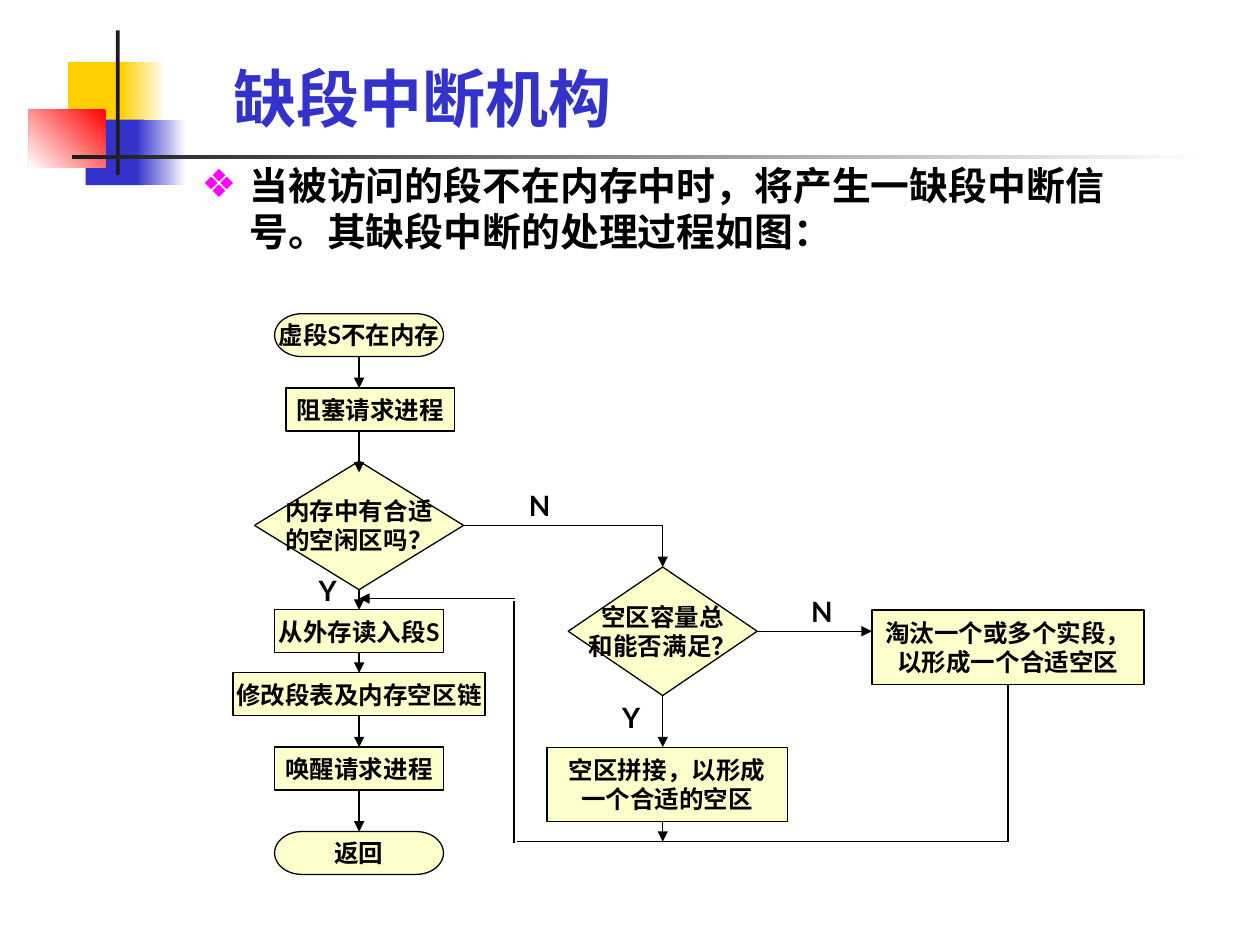
from lxml.etree import SubElement
from pptx import Presentation
from pptx.dml.color import RGBColor
from pptx.enum.shapes import MSO_CONNECTOR as Connector, MSO_SHAPE as Shape
from pptx.enum.text import MSO_ANCHOR as Anchor, MSO_AUTO_SIZE as AutoSize, PP_ALIGN as Align
from pptx.oxml.ns import qn
from pptx.util import Emu, Pt

SCALE = 9144
TOP, LEFT, BOTTOM, RIGHT = range(4)
hex_color = RGBColor.from_string


def px(*lengths):
    return [Emu(length * SCALE) for length in lengths]


def style(paragraph, size, color="000000", name="Lato", align=Align.LEFT):
    paragraph.alignment = align
    font = paragraph.font
    font.size, font.bold, font.name = Pt(size), True, name
    font.color.rgb = hex_color(color)
    defaults = paragraph._p.pPr.find(qn("a:defRPr"))
    SubElement(defaults, qn("a:ea"), typeface=name)


presentation = Presentation()
presentation.slide_width, presentation.slide_height = px(1000, 750)
slide = presentation.slides.add_slide(presentation.slide_layouts[1])
shapes = slide.shapes

decorations = [
    (54, 49, 48, 52, ["FFCF01"], 0),
    (96, 49, 36, 52, ["FFFFFF", "FFCF01"], 180),
    (68, 95, 46, 52, ["3333CC"], 0),
    (108, 95, 40, 52, ["FFFFFF", "3333CC"], 180),
    (23, 87, 61, 46, ["FF0000", "FFFFFF"], 225),
    (92, 24, 3, 115, ["1C1C1C"], 0),
    (57, 123, 900, 3, ["FFFFFF", "1C1C1C"], 180),
]
for left, top, width, height, colors, angle in decorations:
    block = shapes.add_shape(Shape.RECTANGLE, *px(left, top, width, height))
    block.shadow.inherit = False
    block.line.fill.background()
    if len(colors) == 1:
        block.fill.solid()
        block.fill.fore_color.rgb = hex_color(colors[0])
    else:
        block.fill.gradient()
        block.fill.gradient_angle = angle
        for stop, color in zip(block.fill.gradient_stops, colors):
            stop.color.rgb = hex_color(color)

title = shapes.title
title.left, title.top, title.width, title.height = px(175, 36, 553, 76)
title.text_frame.text = "缺段中断机构"
title.text_frame.vertical_anchor = Anchor.BOTTOM
title.text_frame.auto_size = AutoSize.NONE
style(title.text_frame.paragraphs[0], 36, "3333CC", "Noto Sans CJK SC")

body = slide.placeholders[1]
body.left, body.top, body.width, body.height = px(150, 123, 760, 86)
body.text_frame.text = "当被访问的段不在内存中时，将产生一缺段中断信号。其缺段中断的处理过程如图："
body.text_frame.auto_size = AutoSize.NONE
paragraph = body.text_frame.paragraphs[0]
properties = paragraph._p.get_or_add_pPr()
indent = px(38)[0]
properties.set("marL", str(indent))
properties.set("indent", str(-indent))
SubElement(SubElement(properties, qn("a:buClr")), qn("a:srgbClr"), val="FF00FF")
SubElement(properties, qn("a:buChar"), char="❖")
paragraph.line_spacing = 1.0
paragraph.space_before = Pt(0)
style(paragraph, 22.2)

TERMINATOR = Shape.FLOWCHART_TERMINATOR
PROCESS = Shape.FLOWCHART_PROCESS
DECISION = Shape.FLOWCHART_DECISION
steps = {
    "start": (TERMINATOR, 218, 249, 134, 34, "虚段S不在内存"),
    "return": (TERMINATOR, 218, 660, 134, 34, "返回"),
    "block": (PROCESS, 227, 308, 134, 34, "阻塞请求进程"),
    "has_space": (DECISION, 202, 366, 166, 102, "内存中有合适\n的空闲区吗？"),
    "read": (PROCESS, 218, 484, 134, 34, "从外存读入段S"),
    "update": (PROCESS, 185, 534, 200, 34, "修改段表及内存空区链"),
    "wake": (PROCESS, 218, 593, 134, 34, "唤醒请求进程"),
    "enough_total": (DECISION, 451, 450, 150, 102, "空区容量总\n和能否满足？"),
    "compact": (PROCESS, 434, 593, 191, 59, "空区拼接，以形成\n一个合适的空区"),
    "evict": (PROCESS, 692, 484, 216, 59, "淘汰一个或多个实段，\n以形成一个合适空区"),
}
nodes = {}
for key, (kind, left, top, width, height, text) in steps.items():
    node = shapes.add_shape(kind, *px(left, top, width, height))
    node.shadow.inherit = False
    node.fill.solid()
    node.fill.fore_color.rgb = hex_color("FFFFCC")
    node.line.color.rgb = hex_color("000000")
    node.line.width = Pt(0.75)
    node.text_frame.text = text
    node.text_frame.word_wrap = False
    node.text_frame.vertical_anchor = Anchor.MIDDLE
    for paragraph in node.text_frame.paragraphs:
        style(paragraph, 14, align=Align.CENTER)
    nodes[key] = node

flows = [
    (("start", BOTTOM), (285, 308), True),
    ((285, 342), (285, 375), True),
    (("has_space", BOTTOM), ("read", TOP), True),
    (("read", BOTTOM), ("update", TOP), True),
    (("update", BOTTOM), ("wake", TOP), True),
    (("wake", BOTTOM), ("return", TOP), True),
    (("has_space", RIGHT), (526, 417), False),
    ((526, 417), ("enough_total", TOP), True),
    (("enough_total", BOTTOM), (526, 593), True),
    (("enough_total", RIGHT), (692, 501), True),
    ((800, 543), (800, 668), False),
    ((800, 668), (410, 668), False),
    ((408, 669), (408, 477), False),
    ((409, 475), (285, 475), True),
    ((526, 652), (526, 668), True),
]
for begin, end, has_arrow in flows:
    begin_joined, end_joined = begin[0] in nodes, end[0] in nodes
    begin_point = (0, 0) if begin_joined else begin
    end_point = (0, 0) if end_joined else end
    flow = shapes.add_connector(Connector.STRAIGHT, *px(*begin_point, *end_point))
    if begin_joined:
        flow.begin_connect(nodes[begin[0]], begin[1])
    if end_joined:
        flow.end_connect(nodes[end[0]], end[1])
    flow.line.color.rgb = hex_color("000000")
    flow.line.width = Pt(0.75)
    if has_arrow:
        SubElement(flow.line._get_or_add_ln(), qn("a:tailEnd"), type="triangle")
    SubElement(flow._element.spPr, qn("a:effectLst"))

for left, top, text in [(410, 383, "N"), (634, 467, "N"), (243, 450, "Y"), (484, 551, "Y")]:
    label = shapes.add_textbox(*px(left, top, 33, 37))
    label.text_frame.word_wrap = True
    label.text_frame.text = text
    style(label.text_frame.paragraphs[0], 16)

presentation.save("out.pptx")
